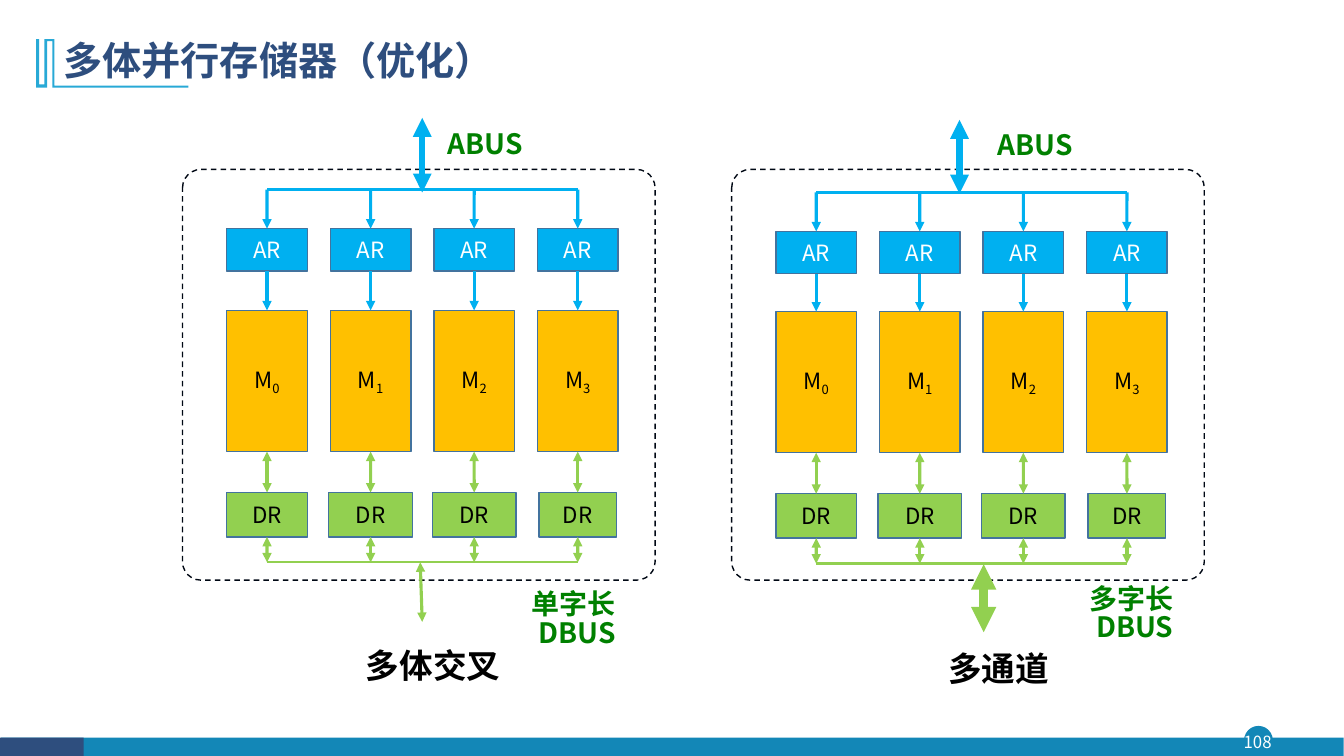
from dataclasses import dataclass
from typing import Any, Optional

import lxml.etree
import pptx
import pptx.dml.color
import pptx.enum.dml
import pptx.enum.shapes
import pptx.enum.text
import pptx.oxml.ns
import pptx.util

Cm = pptx.util.Cm
Shape = pptx.enum.shapes.MSO_SHAPE
Align = pptx.enum.text.PP_ALIGN
Anchor = pptx.enum.text.MSO_ANCHOR


@dataclass(frozen=True)
class Theme:
    font: str = "Noto Sans CJK SC"
    white: str = "FFFFFF"
    black: str = "000000"
    navy: str = "2E4E7E"
    teal: str = "1387B7"
    sky: str = "28A9D6"
    address: str = "00B0F0"
    memory: str = "FFC000"
    data: str = "92D050"
    border: str = "43739E"
    frame: str = "000814"
    bus_name: str = "008000"
    title_size: float = 28
    caption_size: float = 24
    bus_size: float = 20
    block_size: float = 16
    number_size: float = 12


@dataclass(frozen=True)
class Area:
    left: float
    top: float
    width: float
    height: float

    def lengths(self) -> list[Any]:
        return [Cm(value) for value in (self.left, self.top, self.width, self.height)]


@dataclass(frozen=True)
class Point:
    x: float
    y: float


@dataclass(frozen=True)
class Label:
    lines: tuple[str, ...]
    area: Area
    color: str
    size: float


@dataclass(frozen=True)
class Bank:
    left: float
    shift: float
    address_bar: float
    register_top: float
    address_bus: tuple[Point, Point]
    data_bus: tuple[Point, Point]
    data_bus_width: float
    labels: tuple[Label, ...]


THEME = Theme()
COLUMN_PITCH = 2.61
BLOCK_WIDTH = 2.03
DATA_WIDTHS = (2.03, 2.11, 2.11, 1.96)

BANKS = (
    Bank(4.6, 0, 4.78, 5.76, (Point(10.64, 2.97), Point(10.64, 4.85)),
         (Point(10.59, 14.17), Point(10.64, 15.67)), 2.25, (
        Label(("ABUS",), Area(10.92, 3.33, 2.51, 0.86), THEME.bus_name, THEME.bus_size),
        Label(("单字长", "DBUS"), Area(10.87, 14.91, 4.9, 0.86), THEME.bus_name, THEME.bus_size),
        Label(("多体交叉",), Area(8.92, 16.41, 3.94, 1.02), THEME.black, THEME.caption_size))),
    Bank(18.44, 0.03, 4.85, 5.83, (Point(24.18, 3.02), Point(24.18, 4.88)),
         (Point(24.79, 14.22), Point(24.79, 15.93)), 6, (
        Label(("ABUS",), Area(24.77, 3.35, 2.51, 0.86), THEME.bus_name, THEME.bus_size),
        Label(("多字长", "DBUS"), Area(25.15, 14.78, 4.67, 0.86), THEME.bus_name, THEME.bus_size),
        Label(("多通道",), Area(23.62, 16.48, 3.07, 1.02), THEME.black, THEME.caption_size))),
)

LOGO_MARK = ((1.37, 0.99), (1.37, 2.16), (4.75, 2.16), (4.75, 2.21), (1.32, 2.21),
             (1.32, 1.04), (1.19, 1.04), (1.19, 2.21), (0.91, 2.21), (0.91, 0.99),
             (0.99, 0.99), (0.99, 2.13), (1.12, 2.13), (1.12, 0.99))


def rgb(color: str) -> Any:
    return pptx.dml.color.RGBColor.from_string(color)


def add_span(para: Any, text: str, size: float, color: str,
             bold: bool = False, subscript: bool = False) -> None:
    span = para.add_run()
    span.text = text
    span.font.size = pptx.util.Pt(size)
    span.font.bold = bold
    span.font.color.rgb = rgb(color)
    span.font.name = THEME.font
    properties = span._r.get_or_add_rPr()
    lxml.etree.SubElement(properties, pptx.oxml.ns.qn("a:ea"), typeface=THEME.font)
    if subscript:
        properties.set("baseline", "-25000")


def paint(box: Any, fill: str, line: Optional[str] = None) -> None:
    box.shadow.inherit = False
    box.fill.solid()
    box.fill.fore_color.rgb = rgb(fill)
    if line:
        box.line.color.rgb = rgb(line)
        box.line.width = pptx.util.Pt(1)
    else:
        box.line.fill.background()


def add_box(page: Any, area: Area, fill: str, line: Optional[str] = None,
            kind: Any = Shape.RECTANGLE) -> Any:
    box = page.shapes.add_shape(kind, *area.lengths())
    paint(box, fill, line)
    return box


def add_block(page: Any, center: float, top: float, width: float, height: float,
              fill: str, color: str, name: str, index: str = "") -> Any:
    box = add_box(page, Area(center - width / 2, top, width, height), fill, THEME.border)
    box.text_frame.vertical_anchor = Anchor.MIDDLE
    para = box.text_frame.paragraphs[0]
    para.alignment = Align.CENTER
    add_span(para, name, THEME.block_size, color)
    if index:
        add_span(para, index, THEME.block_size, color, subscript=True)
    return box


def add_text(page: Any, label: Label, align: Any, anchor: Any, spacing: float,
             side: float, vertical: float, bold: bool = True) -> None:
    frame = page.shapes.add_textbox(*label.area.lengths()).text_frame
    frame.word_wrap = True
    frame.vertical_anchor = anchor
    frame.margin_left = frame.margin_right = Cm(side)
    frame.margin_top = frame.margin_bottom = Cm(vertical)
    para = frame.paragraphs[0]
    para.alignment = align
    para.line_spacing = spacing
    for number, line in enumerate(label.lines):
        if number:
            para.add_line_break()
        add_span(para, line, label.size, label.color, bold)


def add_line(page: Any, start: Point, end: Point, color: str, width: float = 2.25,
             ends: tuple[str, ...] = (), source: Any = None, target: Any = None) -> None:
    line = page.shapes.add_connector(pptx.enum.shapes.MSO_CONNECTOR.STRAIGHT,
                                     Cm(start.x), Cm(start.y), Cm(end.x), Cm(end.y))
    if source is not None:
        line.begin_connect(source, 2)
    if target is not None:
        line.end_connect(target, 0)
    line.line.color.rgb = rgb(color)
    line.line.width = pptx.util.Pt(width)
    properties = line._element.spPr
    outline = properties.find(pptx.oxml.ns.qn("a:ln"))
    for end_name in ends:
        lxml.etree.SubElement(outline, pptx.oxml.ns.qn(f"a:{end_name}"), type="triangle")
    lxml.etree.SubElement(properties, pptx.oxml.ns.qn("a:effectLst"))


def draw_bank(page: Any, bank: Bank) -> None:
    both = ("headEnd", "tailEnd")
    frame = add_box(page, Area(bank.left, 4.27, 11.91, 10.35), THEME.white, THEME.frame,
                    Shape.ROUNDED_RECTANGLE)
    frame.adjustments[0] = 0.045
    frame.line.dash_style = pptx.enum.dml.MSO_LINE.DASH
    centers = [bank.left + 2.13 + number * COLUMN_PITCH for number in range(4)]
    data_bar = 14.17 + bank.shift
    for number, (center, data_width) in enumerate(zip(centers, DATA_WIDTHS)):
        address = add_block(page, center, bank.register_top, BLOCK_WIDTH, 1.07,
                            THEME.address, THEME.white, "AR")
        memory = add_block(page, center, 7.82 + bank.shift, BLOCK_WIDTH, 3.56,
                           THEME.memory, THEME.black, "M", str(number))
        data = add_block(page, center, 12.41 + bank.shift, data_width, 1.12,
                         THEME.data, THEME.black, "DR")
        upper, lower = Point(center, bank.address_bar), Point(center, data_bar)
        add_line(page, upper, upper, THEME.address, ends=("tailEnd",), target=address)
        add_line(page, upper, lower, THEME.address, ends=("tailEnd",), source=address, target=memory)
        add_line(page, upper, lower, THEME.data, ends=both, source=memory, target=data)
        add_line(page, lower, lower, THEME.data, ends=both, source=data)
    for height, color, width in ((bank.address_bar, THEME.address, 2.25), (data_bar, THEME.data, 1.5)):
        add_line(page, Point(centers[0], height), Point(centers[-1], height), color, width)
    add_line(page, *bank.address_bus, THEME.address, 4.5, both)
    add_line(page, *bank.data_bus, THEME.data, bank.data_bus_width, both)
    for label in bank.labels:
        add_text(page, label, Align.RIGHT, Anchor.TOP, 0.85, 0.25, 0)


def draw_surround(page: Any) -> None:
    add_box(page, Area(31.37, 18.31, 0.69, 0.69), THEME.teal, THEME.teal, Shape.OVAL)
    add_box(page, Area(0.03, 18.59, 33.83, 0.48), THEME.teal)
    add_box(page, Area(0, 18.59, 2.11, 0.48), THEME.navy)
    number = Label(("108",), Area(31.29, 18.31, 0.81, 0.79), THEME.white, THEME.number_size)
    add_text(page, number, Align.CENTER, Anchor.MIDDLE, 1.0, 0, 0, bold=False)
    corners = [(Cm(x), Cm(y)) for x, y in LOGO_MARK]
    builder = page.shapes.build_freeform(*corners[0])
    builder.add_line_segments(corners[1:], close=True)
    paint(builder.convert_to_shape(), THEME.sky)
    title = Label(("多体并行存储器（优化）",), Area(1.35, 0.71, 29.21, 1.73), THEME.navy, THEME.title_size)
    add_text(page, title, Align.LEFT, Anchor.MIDDLE, 0.9, 0.25, 0.13)


def main() -> None:
    deck = pptx.Presentation()
    deck.slide_width, deck.slide_height = Cm(33.87), Cm(19.05)
    page = deck.slides.add_slide(deck.slide_layouts[6])
    draw_surround(page)
    for bank in BANKS:
        draw_bank(page, bank)
    deck.save("out.pptx")


if __name__ == "__main__":
    main()
